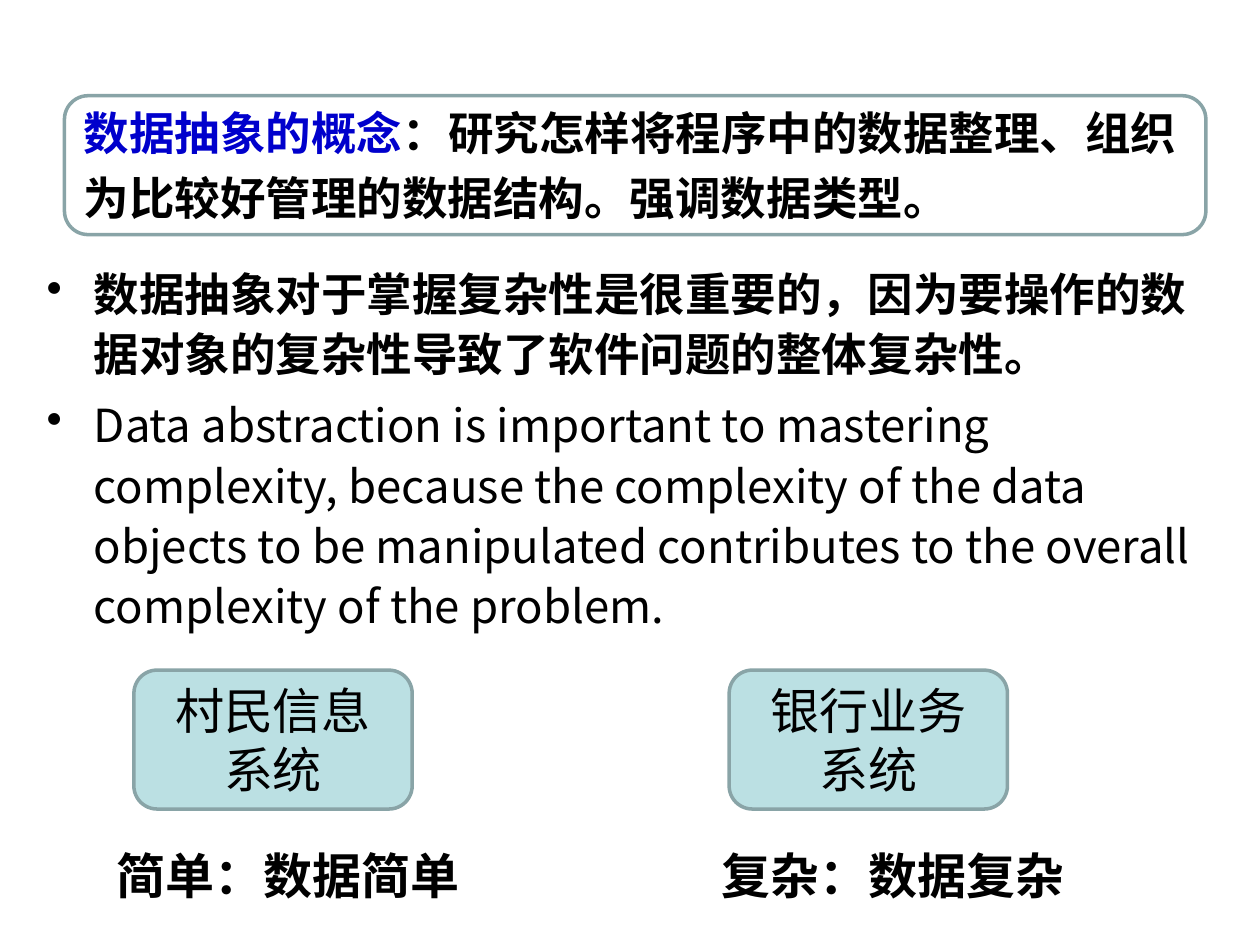
from dataclasses import dataclass

from lxml import etree
from pptx import Presentation
from pptx import util as u
from pptx.dml.color import RGBColor
from pptx.enum import shapes, text
from pptx.oxml.ns import qn


@dataclass(frozen=True)
class Theme:
    font: str = "Noto Sans CJK SC"
    ink: RGBColor = RGBColor(0x00, 0x00, 0x00)
    accent: RGBColor = RGBColor(0x00, 0x00, 0xCC)
    outline: RGBColor = RGBColor(0x89, 0xA4, 0xA7)
    box_fill: RGBColor = RGBColor(0xBB, 0xE0, 0xE3)
    outline_width: float = 2
    body_size: float = 26
    label_size: float = 28
    body_pitch: float = 34.3
    callout_pitch: float = 31.2
    label_pitch: float = 33.6


class SlideBuilder:
    def __init__(self, slide, theme):
        self.slide = slide
        self.theme = theme

    def style(self, paragraph, size, pitch, bold=False):
        """Set font, colour and exact line pitch for a whole paragraph."""
        paragraph.line_spacing = u.Pt(pitch)
        font = paragraph.font
        font.name = self.theme.font
        font.size = u.Pt(size)
        font.bold = bold
        font.color.rgb = self.theme.ink
        latin = font._element.find(qn("a:latin"))
        east_asian = etree.Element(qn("a:ea"), typeface=self.theme.font)
        latin.addnext(east_asian)

    def paragraphs(self, frame, count, space_before=0):
        for index in range(count):
            if index == 0:
                yield frame.paragraphs[0]
            else:
                paragraph = frame.add_paragraph()
                paragraph.space_before = u.Pt(space_before)
                yield paragraph

    def text_frame(self, left, top, width, height):
        box = self.slide.shapes.add_textbox(
            u.Cm(left), u.Cm(top), u.Cm(width), u.Cm(height))
        box.text_frame.word_wrap = True
        return box.text_frame

    def outlined_shape(self, kind, left, top, width, height):
        shape = self.slide.shapes.add_shape(
            kind, u.Cm(left), u.Cm(top), u.Cm(width), u.Cm(height))
        shape.shadow.inherit = False
        shape.line.color.rgb = self.theme.outline
        shape.line.width = u.Pt(self.theme.outline_width)
        shape.text_frame.word_wrap = True
        shape.text_frame.vertical_anchor = text.MSO_ANCHOR.MIDDLE
        return shape

    def bullets(self, items, left, top, width, height):
        """Add a bulleted list from (wording, bold) pairs."""
        frame = self.text_frame(left, top, width, height)
        rows = self.paragraphs(frame, len(items), space_before=6.5)
        for paragraph, (wording, bold) in zip(rows, items):
            paragraph.add_run().text = wording
            properties = paragraph._p.get_or_add_pPr()
            properties.set("marL", str(u.Cm(0.95)))
            properties.set("indent", str(-u.Cm(0.95)))
            etree.SubElement(properties, qn("a:buChar"), char="•")
            self.style(paragraph, self.theme.body_size,
                       self.theme.body_pitch, bold)

    def callout(self, lines, left, top, width, height):
        """Add a definition box; each line is a list of (wording, colour)."""
        shape = self.outlined_shape(
            shapes.MSO_SHAPE.ROUNDED_RECTANGULAR_CALLOUT,
            left, top, width, height)
        shape.fill.background()
        for index, value in enumerate((-0.23, -0.5, 0.17)):
            shape.adjustments[index] = value
        rows = self.paragraphs(shape.text_frame, len(lines), space_before=6)
        for paragraph, parts in zip(rows, lines):
            paragraph.alignment = text.PP_ALIGN.LEFT
            self.style(paragraph, self.theme.body_size,
                       self.theme.callout_pitch, bold=True)
            for wording, colour in parts:
                run = paragraph.add_run()
                run.text = wording
                run.font.color.rgb = colour

    def system_box(self, wording, left, top, width, height):
        shape = self.outlined_shape(
            shapes.MSO_SHAPE.ROUNDED_RECTANGLE, left, top, width, height)
        shape.fill.solid()
        shape.fill.fore_color.rgb = self.theme.box_fill
        paragraph = shape.text_frame.paragraphs[0]
        paragraph.alignment = text.PP_ALIGN.CENTER
        paragraph.add_run().text = wording
        self.style(paragraph, self.theme.label_size, self.theme.label_pitch)

    def label(self, wording, left, top, width, height):
        frame = self.text_frame(left, top, width, height)
        frame.auto_size = text.MSO_AUTO_SIZE.SHAPE_TO_FIT_TEXT
        paragraph = frame.paragraphs[0]
        paragraph.add_run().text = wording
        self.style(paragraph, self.theme.label_size,
                   self.theme.label_pitch, bold=True)


def main():
    presentation = Presentation()
    presentation.slide_width = u.Cm(25.4)
    presentation.slide_height = u.Cm(19.05)
    slide = presentation.slides.add_slide(presentation.slide_layouts[6])
    theme = Theme()
    builder = SlideBuilder(slide, theme)

    builder.bullets([
        ("数据抽象对于掌握复杂性是很重要的，因为要操作的数据对象的复杂性"
         "导致了软件问题的整体复杂性。", True),
        ("Data abstraction is important to mastering complexity, because "
         "the complexity of the data objects to be manipulated contributes "
         "to the overall complexity of the problem.", False),
    ], 0.69, 5.13, 24.2, 8.2)

    builder.callout([
        [("数据抽象的概念", theme.accent),
         ("：研究怎样将程序中的数据整理、组织", theme.ink)],
        [("为比较好管理的数据结构。强调数据类型。", theme.ink)],
    ], 1.3, 1.93, 23.01, 2.8)

    systems = [
        ("村民信息系统", 2.7, "简单：数据简单", 2.1),
        ("银行业务系统", 14.7, "复杂：数据复杂", 14.3),
    ]
    for system, box_left, verdict, label_left in systems:
        builder.system_box(system, box_left, 13.51, 5.61, 2.8)
        builder.label(verdict, label_left, 16.92, 8, 1.45)

    presentation.save("out.pptx")


if __name__ == "__main__":
    main()
